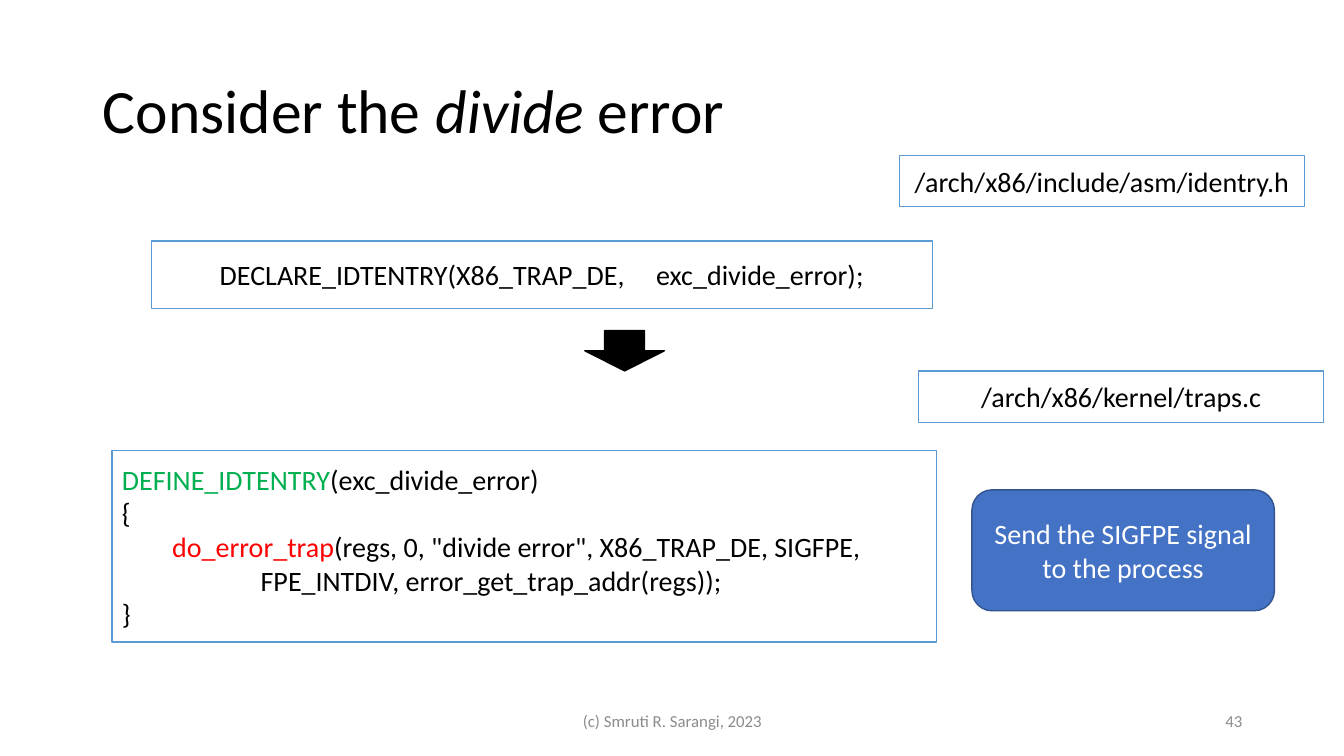
"""Build the slide on the divide error trap."""
from dataclasses import dataclass
from typing import Optional

from pptx import Presentation
from pptx.dml.color import RGBColor
from pptx.enum import shapes as sh, text as tx
from pptx.util import Inches, Pt

BLACK = RGBColor(0x00, 0x00, 0x00)
WHITE = RGBColor(0xFF, 0xFF, 0xFF)
GREY = RGBColor(0x8C, 0x8C, 0x8C)
GREEN = RGBColor(0x00, 0xB0, 0x50)
RED = RGBColor(0xFF, 0x00, 0x00)
SKY = RGBColor(0x5B, 0x9B, 0xD5)
BLUE = RGBColor(0x44, 0x72, 0xC4)
NAVY = RGBColor(0x32, 0x54, 0x91)
FONT = "Calibri"
LEFT, MID, RIGHT = tx.PP_ALIGN.LEFT, tx.PP_ALIGN.CENTER, tx.PP_ALIGN.RIGHT
RECT = sh.MSO_SHAPE.RECTANGLE


@dataclass(frozen=True)
class Span:
    text: str
    color: Optional[RGBColor] = None
    slant: bool = False


Lines = list[list[Span]]
Place = tuple[float, float, float, float]


@dataclass(frozen=True)
class Box:
    place: Place
    lines: Lines
    align: tx.PP_ALIGN = MID
    kind: sh.MSO_SHAPE = RECT
    fill: RGBColor = WHITE
    edge: RGBColor = SKY
    ink: RGBColor = BLACK


@dataclass(frozen=True)
class Note:
    place: Place
    text: str
    align: tx.PP_ALIGN


TITLE = [[Span("Consider the "), Span("divide", slant=True), Span(" error")]]
CODE = [
    [Span("DEFINE_IDTENTRY", GREEN), Span("(exc_divide_error)")],
    [Span("{")],
    [Span("\t"), Span("do_error_trap", RED),
     Span('(regs, 0, "divide error", X86_TRAP_DE, SIGFPE,')],
    [Span("\t\t      FPE_INTDIV, error_get_trap_addr(regs));")],
    [Span("}")],
]
BOXES = [
    Box((1.5, 2.39, 7.75, 0.67),
        [[Span("DECLARE_IDTENTRY(X86_TRAP_DE,     exc_divide_error);")]]),
    Box((8.92, 1.54, 4.02, 0.51), [[Span("/arch/x86/include/asm/identry.h")]]),
    Box((5.8, 3.28, 0.79, 0.4), [], kind=sh.MSO_SHAPE.DOWN_ARROW,
        fill=BLACK, edge=BLACK),
    Box((9.11, 3.68, 4.02, 0.51), [[Span("/arch/x86/kernel/traps.c")]]),
    Box((1.11, 4.47, 8.18, 1.9), CODE, align=LEFT),
    Box((9.64, 4.86, 3, 1.2), [[Span("Send the SIGFPE signal to the process")]],
        kind=sh.MSO_SHAPE.ROUNDED_RECTANGLE, fill=BLUE, edge=NAVY, ink=WHITE),
]
NOTES = [
    Note((4.42, 6.95, 4.5, 0.4), "(c) Smruti R. Sarangi, 2023", MID),
    Note((9.42, 6.95, 3, 0.4), "43", RIGHT),
]


def write(frame, lines: Lines, size: int, ink: RGBColor, align: tx.PP_ALIGN) -> None:
    frame.word_wrap = True
    frame.auto_size = tx.MSO_AUTO_SIZE.NONE
    frame.vertical_anchor = tx.MSO_ANCHOR.MIDDLE
    for i, line in enumerate(lines):
        para = frame.add_paragraph() if i else frame.paragraphs[0]
        para.alignment = align
        para.font.name, para.font.size = FONT, Pt(size)
        para.font.color.rgb = ink
        for span in line:
            run = para.add_run()
            run.text = span.text
            if span.color is not None:
                run.font.color.rgb = span.color
            if span.slant:
                run.font.italic = True


def add_title(slide, place: Place) -> None:
    title = slide.shapes.title
    title.left, title.top, title.width, title.height = map(Inches, place)
    write(title.text_frame, TITLE, 44, BLACK, LEFT)
    title.text_frame.paragraphs[0].line_spacing = 0.9


def add_box(slide, box: Box) -> None:
    shape = slide.shapes.add_shape(box.kind, *map(Inches, box.place))
    shape.shadow.inherit = False
    shape.fill.solid()
    shape.fill.fore_color.rgb = box.fill
    shape.line.color.rgb = box.edge
    shape.line.width = Pt(1)
    write(shape.text_frame, box.lines, 20, box.ink, box.align)


def add_note(slide, note: Note) -> None:
    shape = slide.shapes.add_textbox(*map(Inches, note.place))
    write(shape.text_frame, [[Span(note.text)]], 12, GREY, note.align)


def main() -> None:
    deck = Presentation()
    deck.slide_width, deck.slide_height = Inches(13.33), Inches(7.5)
    slide = deck.slides.add_slide(deck.slide_layouts.get_by_name("Title Only"))
    add_title(slide, (0.92, 0.4, 11.5, 1.45))
    for note in NOTES:
        add_note(slide, note)
    for box in BOXES:
        add_box(slide, box)
    deck.save("out.pptx")


if __name__ == "__main__":
    main()
